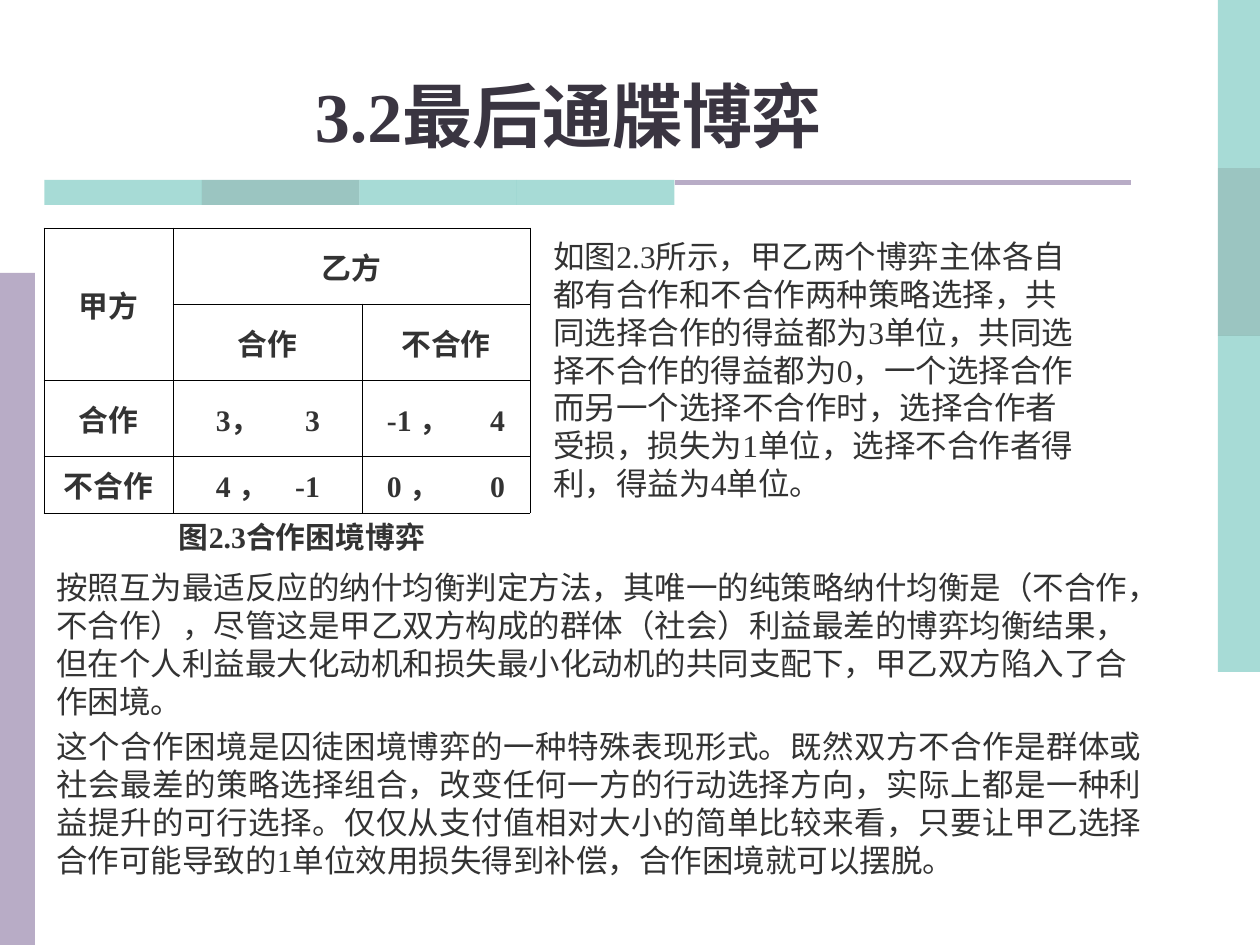
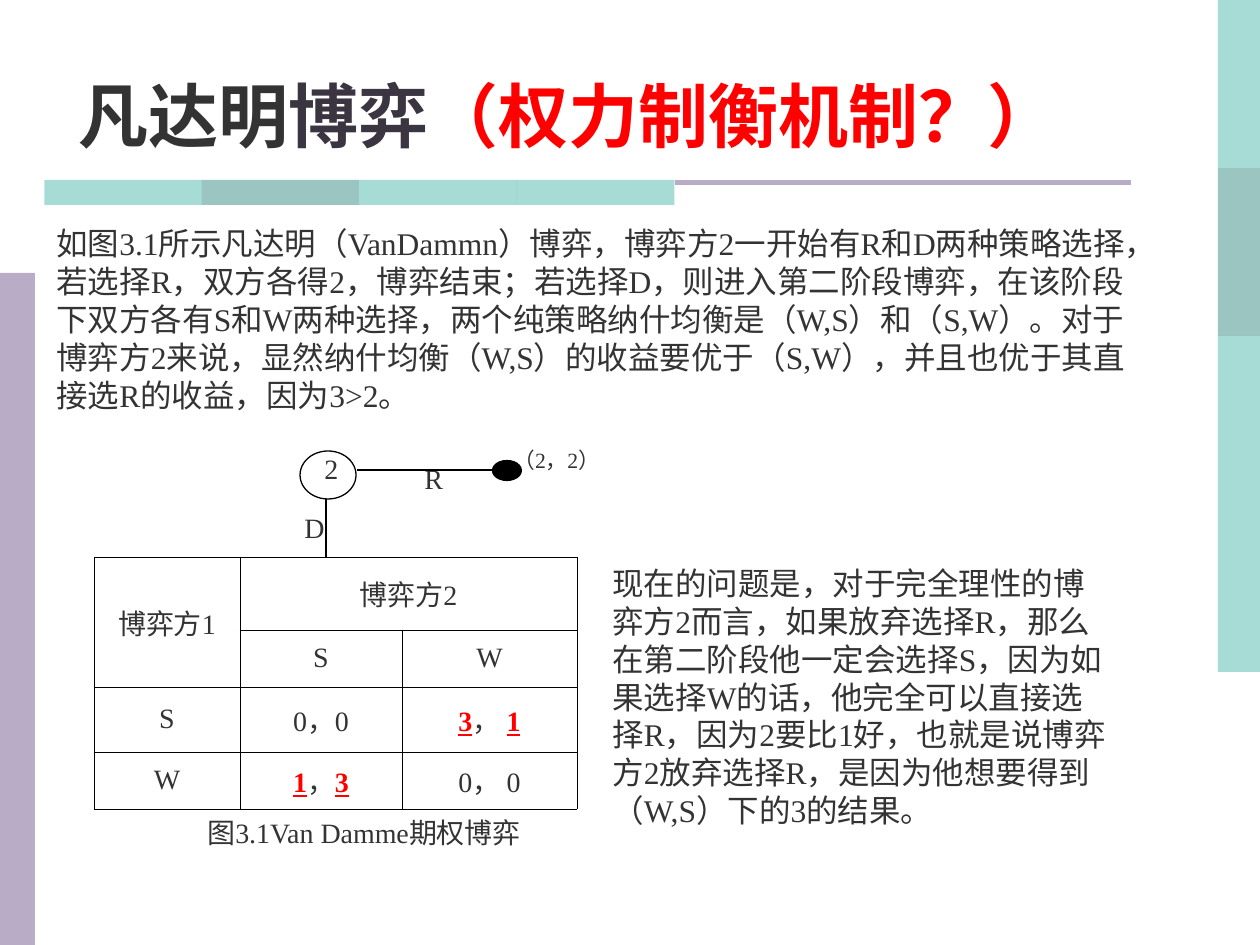
from pptx import Presentation
from pptx import util as u
from pptx.dml.color import RGBColor
from pptx.enum import lang, shapes, text
from pptx.oxml import parse_xml
from pptx.oxml.ns import nsdecls, qn
from lxml import etree

PX = 914400 / 126
FONT = "Times New Roman"
INK = RGBColor(0x33, 0x33, 0x33)
TITLE = RGBColor(0x3A, 0x35, 0x41)
RED = RGBColor(0xFF, 0x00, 0x00)
BLACK = RGBColor(0x00, 0x00, 0x00)
TEAL = RGBColor(0x51, 0xB9, 0xAF)
DEEP_TEAL = RGBColor(0x39, 0x8D, 0x85)
LILAC = RGBColor(0xB8, 0xAC, 0xC6)
BANDS = [TEAL, DEEP_TEAL, TEAL, TEAL]

CENTER = text.PP_ALIGN.CENTER
JUSTIFY = text.PP_ALIGN.JUSTIFY
MIDDLE = text.MSO_ANCHOR.MIDDLE
TOP = text.MSO_ANCHOR.TOP
HOT = {"color": RED, "bold": True, "underline": True}


def px(*lengths):
    """Turn pixel lengths into EMU."""
    return [u.Emu(round(length * PX)) for length in lengths]


def write(frame, content, size=18, color=INK, bold=False, underline=False,
          align=None, spacing=None, before=0, right_tab=None):
    """Fill a frame with paragraphs, each a string or a list of (text, overrides)."""
    base = {"color": color, "bold": bold, "underline": underline}
    for index, spans in enumerate(content):
        para = frame.paragraphs[0] if index == 0 else frame.add_paragraph()
        if right_tab:
            tabs = etree.SubElement(para._p.get_or_add_pPr(), qn("a:tabLst"))
            etree.SubElement(tabs, qn("a:tab"), pos=str(px(right_tab)[0]), algn="r")
        para.alignment = align[index] if isinstance(align, list) else align
        if spacing:
            para.line_spacing = spacing
        if index and before:
            para.space_before = u.Pt(before)
        for words, changes in [(spans, {})] if isinstance(spans, str) else spans:
            look = {**base, **changes}
            span = para.add_run()
            span.text = words
            span.font.name = FONT
            span.font.size = u.Pt(size)
            span.font.language_id = lang.MSO_LANGUAGE_ID.SIMPLIFIED_CHINESE
            span.font.color.rgb = look["color"]
            span.font.bold = look["bold"]
            span.font.underline = look["underline"]


def add_text(page, area, *content, anchor=TOP, grow=False, wrap=True, **look):
    """Add a text box."""
    box = page.shapes.add_textbox(*px(*area))
    frame = box.text_frame
    frame.word_wrap = wrap
    frame.vertical_anchor = anchor
    fit = text.MSO_AUTO_SIZE
    frame.auto_size = fit.SHAPE_TO_FIT_TEXT if grow else fit.NONE
    write(frame, content, **look)


def add_block(page, area, fill=None, alpha=None, line=None,
              kind=shapes.MSO_SHAPE.RECTANGLE):
    """Add a preset shape with an optional fill, opacity in percent and black outline."""
    block = page.shapes.add_shape(kind, *px(*area))
    block.shadow.inherit = False
    if fill is None:
        block.fill.background()
    else:
        block.fill.solid()
        block.fill.fore_color.rgb = fill
        if alpha:
            tint = block.fill._xPr.find(".//" + qn("a:srgbClr"))
            etree.SubElement(tint, qn("a:alpha"), val=str(alpha * 1000))
    if line:
        block.line.color.rgb = BLACK
        block.line.width = u.Pt(line)
    else:
        block.line.fill.background()


def add_line(page, *ends):
    """Add a thin black straight line."""
    line = page.shapes.add_connector(shapes.MSO_CONNECTOR.STRAIGHT, *px(*ends))
    line.line.color.rgb = BLACK
    line.line.width = u.Pt(0.75)
    etree.SubElement(line._element.spPr, qn("a:effectLst"))


def frame_cell(cell):
    """Clear a cell's fill and give it thin black borders."""
    cell.fill.background()
    properties = cell._tc.get_or_add_tcPr()
    for index, side in enumerate("LRTB"):
        properties.insert(index, parse_xml(
            f'<a:ln{side} {nsdecls("a")} w="5715"><a:solidFill>'
            f'<a:srgbClr val="{BLACK}"/></a:solidFill></a:ln{side}>'))


def add_payoffs(page, left, top, widths, heights, rows, gaps=None, **look):
    """Add a two-player payoff table; gaps maps a column to its margin and right tab."""
    area = px(left, top, sum(widths), sum(heights))
    table = page.shapes.add_table(len(heights), len(widths), *area).table
    table.first_row = table.horz_banding = False
    for column, width in zip(table.columns, px(*widths)):
        column.width = width
    for row, height in zip(table.rows, px(*heights)):
        row.height = height
    table.cell(0, 0).merge(table.cell(1, 0))
    table.cell(0, 1).merge(table.cell(0, 2))
    for r, row in enumerate(rows):
        for c, content in enumerate(row):
            cell = table.cell(r, c)
            frame_cell(cell)
            cell.vertical_anchor = MIDDLE
            if content is None:
                continue
            if "\t" in content:
                margin, stop = gaps[c]
                cell.margin_left = px(margin)[0]
                write(cell.text_frame, [content], right_tab=stop, **look)
            else:
                write(cell.text_frame, [content], align=CENTER, **look)


def add_page(deck, title):
    """Add a page with the shared bands and a title."""
    page = deck.slides.add_slide(deck.slide_layouts[6])
    for index, color in enumerate(BANDS):
        add_block(page, (1218, 168 * index, 42, 168), color, alpha=50)
        add_block(page, (44.5 + 157.5 * index, 180, 157.5, 25), color, alpha=50)
    add_block(page, (0, 273, 35, 672), LILAC)
    add_block(page, (675, 180, 456, 5), LILAC)
    add_text(page, (0, 55, 1137, 108), title, size=40, color=TITLE, bold=True,
             align=CENTER, anchor=text.MSO_ANCHOR.BOTTOM)
    return page


def build_ultimatum(deck):
    """Build the page on the cooperation dilemma."""
    page = add_page(deck, "3.2最后通牒博弈")
    add_payoffs(page, 44, 228, [129, 189, 168], [76, 76, 76, 57], [
        ["甲方", "乙方", None],
        [None, "合作", "不合作"],
        ["合作", "3，\t3", "-1 ，\t4"],
        ["不合作", "4 ，\t-1", "0 ，\t0"],
    ], gaps={1: (43, 104), 2: (25, 118)}, size=17, bold=True)
    add_text(page, (74, 512, 456, 49), "图2.3合作困境博弈", size=17, bold=True,
             align=CENTER, anchor=MIDDLE, grow=True)
    add_text(page, (541, 231, 546, 277),
             "如图2.3所示，甲乙两个博弈主体各自都有合作和不合作两种策略选择，"
             "共同选择合作的得益都为3单位，共同选择不合作的得益都为0，"
             "一个选择合作而另一个选择不合作时，选择合作者受损，损失为1单位，"
             "选择不合作者得利，得益为4单位。", grow=True)
    add_text(page, (44, 562, 1111, 324),
             "按照互为最适反应的纳什均衡判定方法，其唯一的纯策略纳什均衡是"
             "（不合作，不合作），尽管这是甲乙双方构成的群体（社会）利益最差的"
             "博弈均衡结果，但在个人利益最大化动机和损失最小化动机的共同支配下，"
             "甲乙双方陷入了合作困境。",
             "这个合作困境是囚徒困境博弈的一种特殊表现形式。既然双方不合作是群体或"
             "社会最差的策略选择组合，改变任何一方的行动选择方向，实际上都是一种利"
             "益提升的可行选择。仅仅从支付值相对大小的简单比较来看，只要让甲乙选择"
             "合作可能导致的1单位效用损失得到补偿，合作困境就可以摆脱。",
             align=[None, JUSTIFY], before=4.5, grow=True)


def build_van_damme(deck):
    """Build the page on the outside-option game."""
    page = add_page(deck, [("凡达明", {"color": INK}), ("博弈", {}),
                           ("（权力制衡机制？）", {"color": RED})])
    add_text(page, (44, 218, 1113, 202),
             "如图3.1所示凡达明（VanDammn）博弈，博弈方2一开始有R和D两种策略选择，"
             "若选择R，双方各得2，博弈结束；若选择D，则进入第二阶段博弈，"
             "在该阶段下双方各有S和W两种选择，两个纯策略纳什均衡是（W,S）和（S,W）。"
             "对于博弈方2来说，显然纳什均衡（W,S）的收益要优于（S,W），"
             "并且也优于其直接选R的收益，因为3>2。", anchor=MIDDLE, grow=True)
    add_payoffs(page, 94, 557, [146, 162, 175], [73, 57, 65, 57], [
        ["博弈方1", "博弈方2", None],
        [None, "S", "W"],
        ["S", "0，0", [("3", HOT), ("， ", {}), ("1", HOT)]],
        ["W", [("1", HOT), ("，", {}), ("3", HOT)], "0， 0"],
    ], size=16)
    for label, left, top in [("2", 312, 445), ("D", 292, 504), ("R", 412, 455)]:
        add_text(page, (left, top, 55, 47), label, size=16, align=JUSTIFY)
    add_text(page, (501, 446, 140, 48), "（2，2）", size=12.4, align=JUSTIFY,
             spacing=0.8)
    oval = shapes.MSO_SHAPE.OVAL
    add_line(page, 326, 558, 326, 499)
    add_block(page, (300, 451, 56, 48), line=0.75, kind=oval)
    add_line(page, 357, 470, 496, 470)
    add_block(page, (493, 461, 28, 19), BLACK, line=1.25, kind=oval)
    add_text(page, (195, 809, 355, 47), "图3.1Van Damme期权博弈", size=16,
             grow=True, wrap=False)
    add_text(page, (600, 558, 522, 277),
             "现在的问题是，对于完全理性的博弈方2而言，如果放弃选择R，"
             "那么在第二阶段他一定会选择S，因为如果选择W的话，他完全可以直接选择R，"
             "因为2要比1好，也就是说博弈方2放弃选择R，是因为他想要得到（W,S）下的"
             "3的结果。", anchor=MIDDLE, grow=True)


def main():
    """Build and save the deck."""
    deck = Presentation()
    deck.slide_width, deck.slide_height = px(1260, 945)
    build_ultimatum(deck)
    build_van_damme(deck)
    deck.save("out.pptx")


if __name__ == "__main__":
    main()
